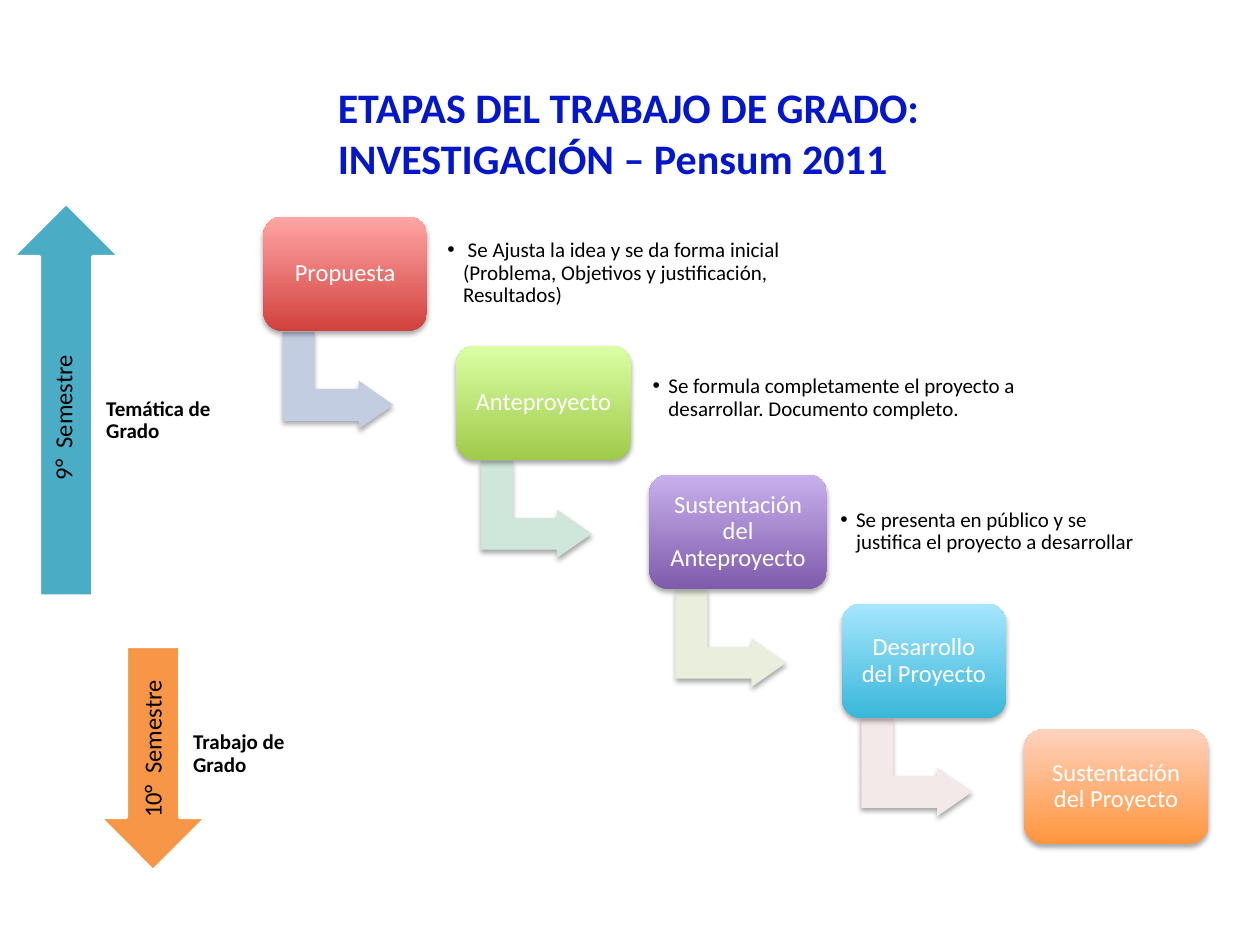
from lxml.etree import SubElement
from pptx import Presentation
from pptx.dml.color import RGBColor
from pptx.enum.shapes import MSO_SHAPE
from pptx.enum.text import MSO_ANCHOR, PP_ALIGN
from pptx.oxml.ns import qn
from pptx.util import Pt

FONT = "Calibri"
COLORS = {
    "title": "0417C8", "text": "000000", "white": "FFFFFF",
    "teal": "4BACC6", "orange": "F79646",
}
TITLE = "ETAPAS DEL TRABAJO DE GRADO: INVESTIGACIÓN – Pensum 2011"
# Stage: text, left, top, width, bottom colour, top colour, colour of the elbow arrow
STAGES = [
    ("Propuesta", 150.5, 123.8, 93.6, "D1403C", "FFA6A5", "C2CDE1"),
    ("Anteproyecto", 260.6, 197.5, 100, "A0CA4A", "DAFFA5", "CFE7DA"),
    ("Sustentación del Anteproyecto", 371, 271.2, 101.6, "7F5BAB", "C8B0ED", "EAEEDC"),
    ("Desarrollo del Proyecto", 481.2, 345, 93.6, "39B7D8", "A7E6FF", "F4E9E9"),
    ("Sustentación del Proyecto", 585.2, 416.8, 105.2, "FF953E", "FFD2BD", None),
]
STAGE_HEIGHT = 65.5
# Note: text, left, top, width
NOTES = [
    (" Se Ajusta la idea y se da forma inicial (Problema, Objetivos y justificación, Resultados)",
     252, 129.6, 203.8),
    ("Se formula completamente el proyecto a desarrollar. Documento completo.",
     369.4, 200.9, 225.4),
    ("Se presenta en público y se justifica el proyecto a desarrollar", 476.6, 277.2, 179.3),
]
# Semester: preset, colour, arrow box, semester, label box, subject, subject box
SEMESTERS = [
    (MSO_SHAPE.UP_ARROW, "teal", (7.2, 116, 61.2, 224.6), "9°  Semestre",
     (-15.1, 218.2, 102.2, 24.5), "Temática de Grado", (54, 146.9, 104.4, 193.7)),
    (MSO_SHAPE.DOWN_ARROW, "orange", (56.9, 369.4, 61.2, 128.2), "10°  Semestre",
     (36, 411.1, 102.2, 24.5), "Trabajo de Grado", (103.7, 385.9, 77, 96.5)),
]


def rgb(color):
    return RGBColor.from_string(color)


def write(shape, text, size, color, margins, anchor=MSO_ANCHOR.MIDDLE,
          align=PP_ALIGN.LEFT, bold=False, spacing=0.9):
    frame = shape.text_frame
    frame.word_wrap = True
    frame.vertical_anchor = anchor
    frame.margin_left, frame.margin_top, frame.margin_right, frame.margin_bottom = map(Pt, margins)
    paragraph = frame.paragraphs[0]
    paragraph.text = text
    paragraph.alignment = align
    paragraph.line_spacing = spacing
    font = paragraph.font
    font.name, font.size, font.bold = FONT, Pt(size), bold
    font.color.rgb = rgb(COLORS[color])
    return paragraph


def add_shape(page, preset, box):
    shape = page.shapes.add_shape(preset, *map(Pt, box))
    shape.shadow.inherit = False
    shape.line.fill.background()
    return shape


def add_text(page, box, *args, **options):
    return write(page.shapes.add_textbox(*map(Pt, box)), *args, **options)


def add_shadow(shape):
    effects = shape.element.spPr.find(qn("a:effectLst"))
    shadow = SubElement(effects, qn("a:outerShdw"), blurRad=str(Pt(3.1)), dist=str(Pt(1.8)),
                        dir="5400000", rotWithShape="0")
    color = SubElement(shadow, qn("a:srgbClr"), val=COLORS["text"])
    SubElement(color, qn("a:alpha"), val="35000")


def add_bullet(paragraph, indent):
    properties = paragraph._p.get_or_add_pPr()
    properties.set("marL", str(Pt(indent)))
    properties.set("indent", str(-Pt(indent)))
    SubElement(properties, qn("a:buFont"), typeface="Arial")
    SubElement(properties, qn("a:buChar"), char="•")
    # The default run properties must follow the bullet
    defaults = properties.find(qn("a:defRPr"))
    if defaults is not None:
        properties.append(defaults)


def add_elbow(page, left, top, color):
    elbow = add_shape(page, MSO_SHAPE.BENT_UP_ARROW, (left, top, 55.6, 63.3))
    elbow.rotation = 90
    for index, value in enumerate((0.328, 0.25, 0.358)):
        elbow.adjustments[index] = value
    elbow.fill.solid()
    elbow.fill.fore_color.rgb = rgb(color)
    add_shadow(elbow)


def add_stage(page, text, left, top, width, bottom_color, top_color, elbow_color):
    if elbow_color:
        add_elbow(page, left + width / 2 - 32, top + 62, elbow_color)
    card = add_shape(page, MSO_SHAPE.ROUNDED_RECTANGLE, (left, top, width, STAGE_HEIGHT))
    card.fill.gradient()
    card.fill.gradient_angle = 90
    for stop, color in zip(card.fill.gradient_stops, (bottom_color, top_color)):
        stop.color.rgb = rgb(color)
    add_shadow(card)
    write(card, text, 14, "white", (4, 4, 4, 4), align=PP_ALIGN.CENTER)


def main():
    deck = Presentation()
    deck.slide_width, deck.slide_height = Pt(720), Pt(540)
    page = deck.slides.add_slide(deck.slide_layouts[5])

    # Title
    title = page.shapes.title
    title.left, title.top, title.width, title.height = map(Pt, (185.8, 43.2, 459.4, 65.5))
    write(title, TITLE, 24, "title", (7.2, 3.6, 7.2, 3.6), MSO_ANCHOR.TOP, bold=True, spacing=1.0)

    # Staircase of stages and their notes
    for stage in STAGES:
        add_stage(page, *stage)
    for text, left, top, width in NOTES:
        add_bullet(add_text(page, (left, top, width, 53.3), text, 12, "text", (3.6,) * 4), 9)

    # Semester arrows
    for preset, color, arrow_box, semester, label_box, subject, subject_box in SEMESTERS:
        arrow = add_shape(page, preset, arrow_box)
        arrow.fill.solid()
        arrow.fill.fore_color.rgb = rgb(COLORS[color])
        arrow.line.color.rgb = rgb(COLORS["white"])
        arrow.line.width = Pt(2)
        add_text(page, subject_box, subject, 12, "text", (6.7, 0, 6.7, 6.7), bold=True)
        label = page.shapes.add_textbox(*map(Pt, label_box))
        label.rotation = 270
        write(label, semester, 14, "text", (7.2, 3.6, 7.2, 3.6), MSO_ANCHOR.TOP, spacing=1.0)

    deck.save("out.pptx")


if __name__ == "__main__":
    main()
